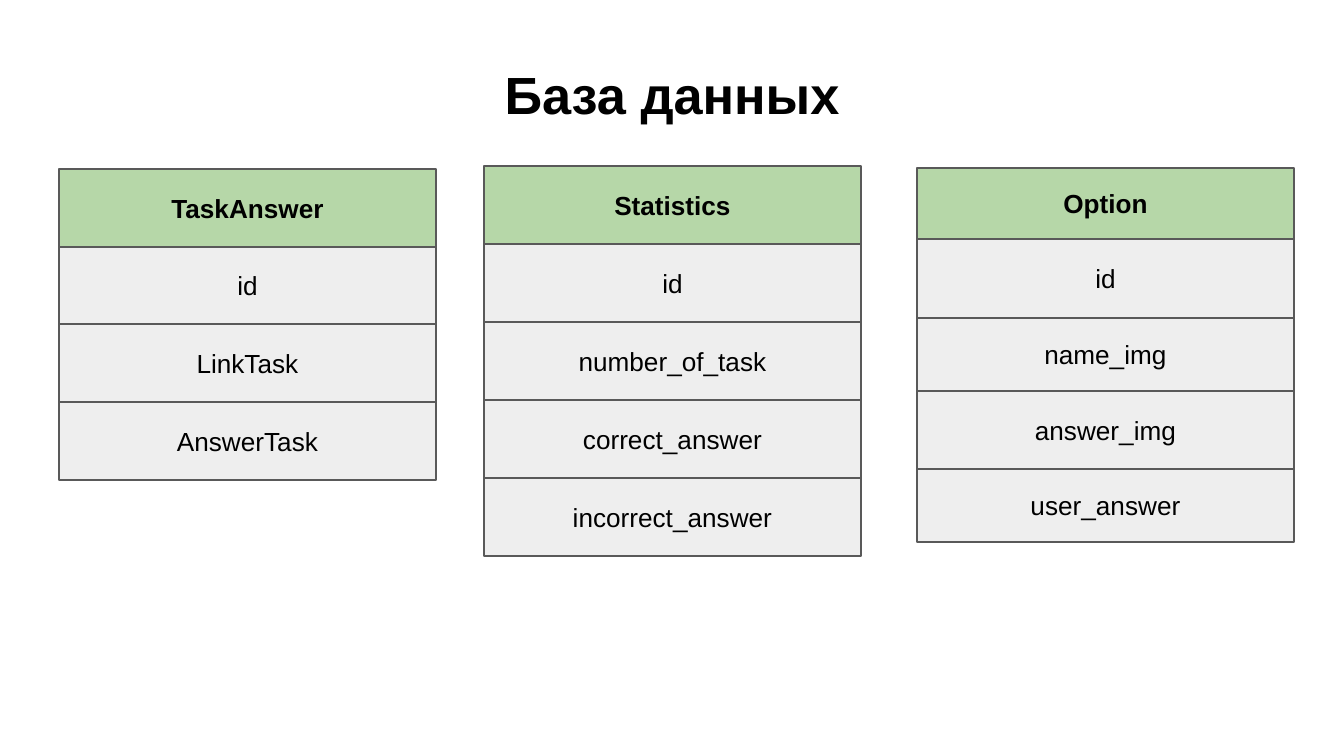
from pptx import Presentation
from pptx.dml.color import RGBColor
from pptx.enum.shapes import MSO_SHAPE as Shape
from pptx.enum.text import MSO_ANCHOR as Anchor, PP_ALIGN as Align
from pptx.util import Pt

TITLE = "База данных"
ENTITIES = [
    {"left": 59, "top": 169, "heights": [78, 77, 78, 78],
     "rows": ["TaskAnswer", "id", "LinkTask", "AnswerTask"]},
    {"left": 484, "top": 166, "heights": [78, 78, 78, 78, 78],
     "rows": ["Statistics", "id", "number_of_task", "correct_answer", "incorrect_answer"]},
    {"left": 917, "top": 168, "heights": [71, 79, 73, 78, 73],
     "rows": ["Option", "id", "name_img", "answer_img", "user_answer"]},
]

EMU_PER_PX = 914400 / 134.4
SLIDE_WIDTH, SLIDE_HEIGHT = 1344, 756
ENTITY_WIDTH = 377
INSET = 13
FONT = "Arial"
BLACK = RGBColor(0x00, 0x00, 0x00)
GREEN = RGBColor(0xB6, 0xD7, 0xA8)
LIGHT_GRAY = RGBColor(0xEE, 0xEE, 0xEE)
DARK_GRAY = RGBColor(0x59, 0x59, 0x59)


def px(length):
    return round(length * EMU_PER_PX)


def write(shape, text, size, bold, anchor, top_inset=INSET):
    frame = shape.text_frame
    frame.word_wrap = True
    frame.vertical_anchor = anchor
    frame.margin_left = frame.margin_right = frame.margin_bottom = px(INSET)
    frame.margin_top = px(top_inset)
    para = frame.paragraphs[0]
    para.text = text
    para.alignment = Align.CENTER
    font = para.font
    font.name, font.size, font.bold = FONT, Pt(size), bold
    font.color.rgb = BLACK


def add_entity(slide, entity):
    group = slide.shapes.add_group_shape()
    top = entity["top"]
    for index, (text, height) in enumerate(zip(entity["rows"], entity["heights"])):
        is_header = index == 0
        box = group.shapes.add_shape(
            Shape.RECTANGLE, px(entity["left"]), px(top), px(ENTITY_WIDTH), px(height))
        box.shadow.inherit = False
        box.fill.solid()
        box.fill.fore_color.rgb = GREEN if is_header else LIGHT_GRAY
        box.line.color.rgb = DARK_GRAY
        box.line.width = Pt(0.75)
        write(box, text, 14, is_header, Anchor.MIDDLE)
        top += height


def main():
    deck = Presentation()
    deck.slide_width, deck.slide_height = px(SLIDE_WIDTH), px(SLIDE_HEIGHT)
    slide = deck.slides.add_slide(deck.slide_layouts[5])
    title = slide.shapes.title
    title.left, title.top = px(0), px(44)
    title.width, title.height = px(SLIDE_WIDTH), px(110)
    write(title, TITLE, 28, True, Anchor.TOP, top_inset=18)
    for entity in ENTITIES:
        add_entity(slide, entity)
    deck.save("out.pptx")


if __name__ == "__main__":
    main()
